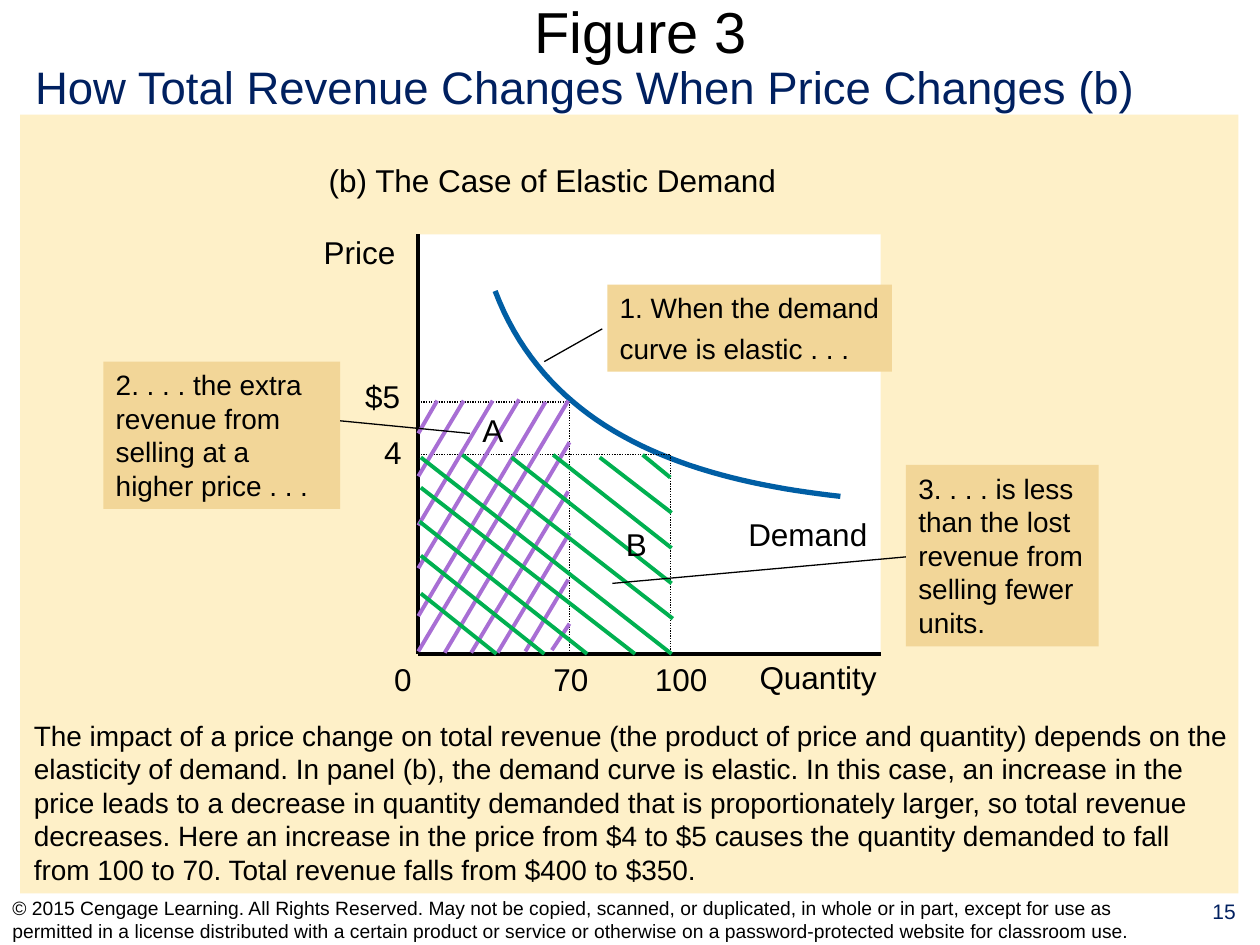
from lxml import etree
from pptx import Presentation
from pptx.dml.color import RGBColor
from pptx.enum import dml, shapes, text
from pptx.oxml.ns import qn
from pptx.util import Inches, Pt

BLACK = RGBColor(0x00, 0x00, 0x00)
WHITE = RGBColor(0xFF, 0xFF, 0xFF)
NAVY = RGBColor(0x00, 0x20, 0x60)
CREAM = RGBColor(0xFE, 0xF0, 0xC8)
TAN = RGBColor(0xF2, 0xD6, 0x98)
BLUE = RGBColor(0x00, 0x5E, 0xA4)
PURPLE = RGBColor(0xA8, 0x6E, 0xD4)
GREEN = RGBColor(0x00, 0xB0, 0x50)
LEFT, CENTER = text.PP_ALIGN.LEFT, text.PP_ALIGN.CENTER

prs = Presentation()
prs.slide_width, prs.slide_height = Inches(10), Inches(7.5)
s = prs.slides.add_slide(prs.slide_layouts[5])


def add_text(box, words, size, color=BLACK, fill=None, align=LEFT, wrap=True):
    """Add a text box at box (left, top, width, height), filled if asked."""
    sp = s.shapes.add_textbox(*map(Inches, box))
    if fill is not None:
        sp.fill.solid()
        sp.fill.fore_color.rgb = fill
    tf = sp.text_frame
    tf.word_wrap = wrap
    tf.text = words
    for i, p in enumerate(tf.paragraphs):
        p.alignment = align
        p.space_before = Pt(4 if i else 0)
        for r in p.runs:
            r.font.name, r.font.size = "Arial", Pt(size)
            r.font.color.rgb = color
    return sp


def add_line(x1, y1, x2, y2, color=BLACK, width=0.75, dotted=False):
    ln = s.shapes.add_connector(shapes.MSO_CONNECTOR.STRAIGHT,
                                *map(Inches, (x1, y1, x2, y2)))
    ln.line.color.rgb = color
    ln.line.width = Pt(width)
    if dotted:
        ln.line.dash_style = dml.MSO_LINE.ROUND_DOT
    etree.SubElement(ln._element.spPr, qn("a:effectLst"))


# Panels: slide background area, then plot area
for box, color in [((0.16, 0.91, 9.67, 6.18), CREAM),
                   ((3.32, 1.86, 3.67, 3.33), WHITE)]:
    panel = s.shapes.add_shape(shapes.MSO_SHAPE.RECTANGLE, *map(Inches, box))
    panel.shadow.inherit = False
    panel.fill.solid()
    panel.fill.fore_color.rgb = color
    panel.line.fill.background()

# Headings and running text
title = s.shapes.title
title.left, title.top = Inches(0.35), Inches(0)
title.width, title.height = Inches(9.47), Inches(0.49)
tf = title.text_frame
tf.text = "Figure 3"
tf.margin_top = tf.margin_bottom = 0
tf.vertical_anchor = text.MSO_ANCHOR.MIDDLE
p = tf.paragraphs[0]
p.alignment = CENTER
r = p.runs[0]
r.font.name, r.font.size = "Arial", Pt(33)
r.font.color.rgb = BLACK

add_text((0.18, 0.42, 8.98, 0.54),
         "How Total Revenue Changes When Price Changes (b)", 26, NAVY, wrap=False)
add_text((2.51, 1.23, 4.51, 0.4), "(b) The Case of Elastic Demand", 18, wrap=False)
add_text((0.17, 5.65, 9.69, 1.44),
         "The impact of a price change on total revenue (the product of price and "
         "quantity) depends on the elasticity of demand. In panel (b), the demand "
         "curve is elastic. In this case, an increase in the price leads to a "
         "decrease in quantity demanded that is proportionately larger, so total "
         "revenue decreases. Here an increase in the price from $4 to $5 causes the "
         "quantity demanded to fall from 100 to 70. Total revenue falls from $400 "
         "to $350.", 16)
footer = add_text(
    (0, 7.1, 9.42, 0.4),
    "© 2015 Cengage Learning. All Rights Reserved. May not be copied, scanned, or "
    "duplicated, in whole or in part, except for use as permitted in a license "
    "distributed with a certain product or service or otherwise on a "
    "password-protected website for classroom use.", 11)
footer.text_frame.vertical_anchor = text.MSO_ANCHOR.MIDDLE
add_text((9.43, 7.08, 0.57, 0.41), "15", 12, NAVY, align=CENTER)

# Axes
X0, Y0 = 3.32, 5.19
add_line(X0, 1.86, X0, Y0, width=2.25)
add_line(X0, Y0, 6.99, Y0, width=2.25)

# Demand curve: points along a cubic Bezier
controls = [(3.93, 2.31), (4.36, 3.44), (5.48, 3.81), (6.67, 3.94)]
STEPS = 40
points = []
for i in range(STEPS + 1):
    t = i / STEPS
    weights = ((1 - t) ** 3, 3 * t * (1 - t) ** 2, 3 * t ** 2 * (1 - t), t ** 3)
    points.append(tuple(Inches(sum(w * c[axis] for w, c in zip(weights, controls)))
                        for axis in (0, 1)))
builder = s.shapes.build_freeform(*points[0])
builder.add_line_segments(points[1:], close=False)
curve = builder.convert_to_shape()
curve.shadow.inherit = False
curve.fill.background()
curve.line.color.rgb = BLUE
curve.line.width = Pt(3)

# Dotted guides at each price and quantity
for x, y in [(4.52, 3.19), (5.32, 3.61)]:
    add_line(X0, y, x, y, dotted=True)
    add_line(x, y, x, Y0, dotted=True)

# Hatching: revenue at the higher price, then at the lower price
price_5_hatch = [
    (4.51, 3.18, 3.32, 5.17), (4.52, 3.51, 3.53, 5.18), (4.51, 3.9, 3.74, 5.18),
    (4.52, 4.23, 3.95, 5.18), (4.51, 4.6, 4.17, 5.17), (4.52, 4.95, 4.38, 5.16),
    (3.47, 3.18, 3.32, 3.44), (3.68, 3.18, 3.32, 3.78), (3.91, 3.18, 3.32, 4.17),
    (4.12, 3.17, 3.32, 4.51), (4.33, 3.19, 3.32, 4.89)]
price_4_hatch = [
    (3.34, 3.63, 5.33, 5.19), (3.67, 3.61, 5.34, 4.91), (4.06, 3.63, 5.33, 4.63),
    (4.39, 3.61, 5.33, 4.35), (4.76, 3.63, 5.33, 4.07), (5.1, 3.61, 5.32, 3.79),
    (3.34, 4.71, 3.94, 5.19), (3.34, 4.41, 4.32, 5.19), (3.33, 4.14, 4.66, 5.19),
    (3.34, 3.87, 5.04, 5.19)]
for hatch, color in [(price_5_hatch, PURPLE), (price_4_hatch, GREEN)]:
    for ends in hatch:
        add_line(*ends, color=color, width=2.25)

# Graph labels
for words, x, y, w, align in [
        ("Price", 2.47, 1.8, 0.84, LEFT), ("$5", 2.8, 2.94, 0.48, LEFT),
        ("4", 2.95, 3.39, 0.34, LEFT), ("0", 3.03, 5.19, 0.34, LEFT),
        ("70", 4.29, 5.19, 0.48, CENTER), ("100", 5.1, 5.19, 0.66, LEFT),
        ("Quantity", 5.93, 5.17, 1.2, LEFT), ("Demand", 5.84, 4.04, 1.21, LEFT),
        ("A", 3.73, 3.21, 0.36, CENTER), ("B", 4.87, 4.12, 0.36, CENTER)]:
    add_text((x, y, w, 0.4), words, 18, align=align, wrap=False)

# Callouts with their leader lines
for words, box, leader, wrap in [
        ("1. When the demand\ncurve is elastic . . .",
         (4.82, 2.26, 2.26, 0.69), (4.32, 2.87, 4.78, 2.61), False),
        ("2. . . . the extra revenue from selling at a higher price . . .",
         (0.82, 2.87, 1.88, 1.17), (3.73, 3.44, 2.7, 3.34), True),
        ("3. . . . is less than the lost revenue from selling fewer units.",
         (7.19, 3.69, 1.53, 1.44), (4.86, 4.63, 7.19, 4.42), True)]:
    add_text(box, words, 16, fill=TAN, wrap=wrap)
    add_line(*leader)

prs.save("out.pptx")
